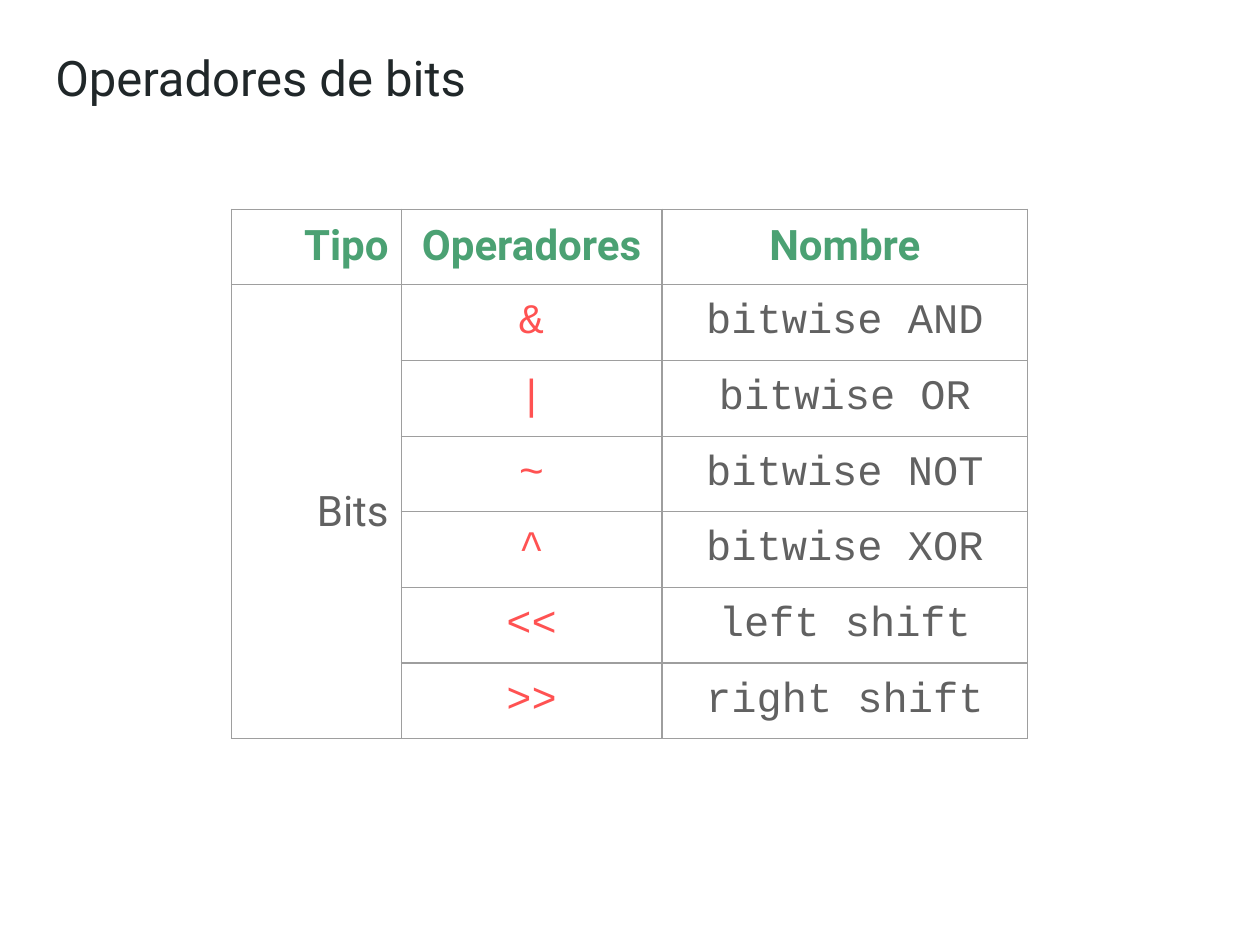
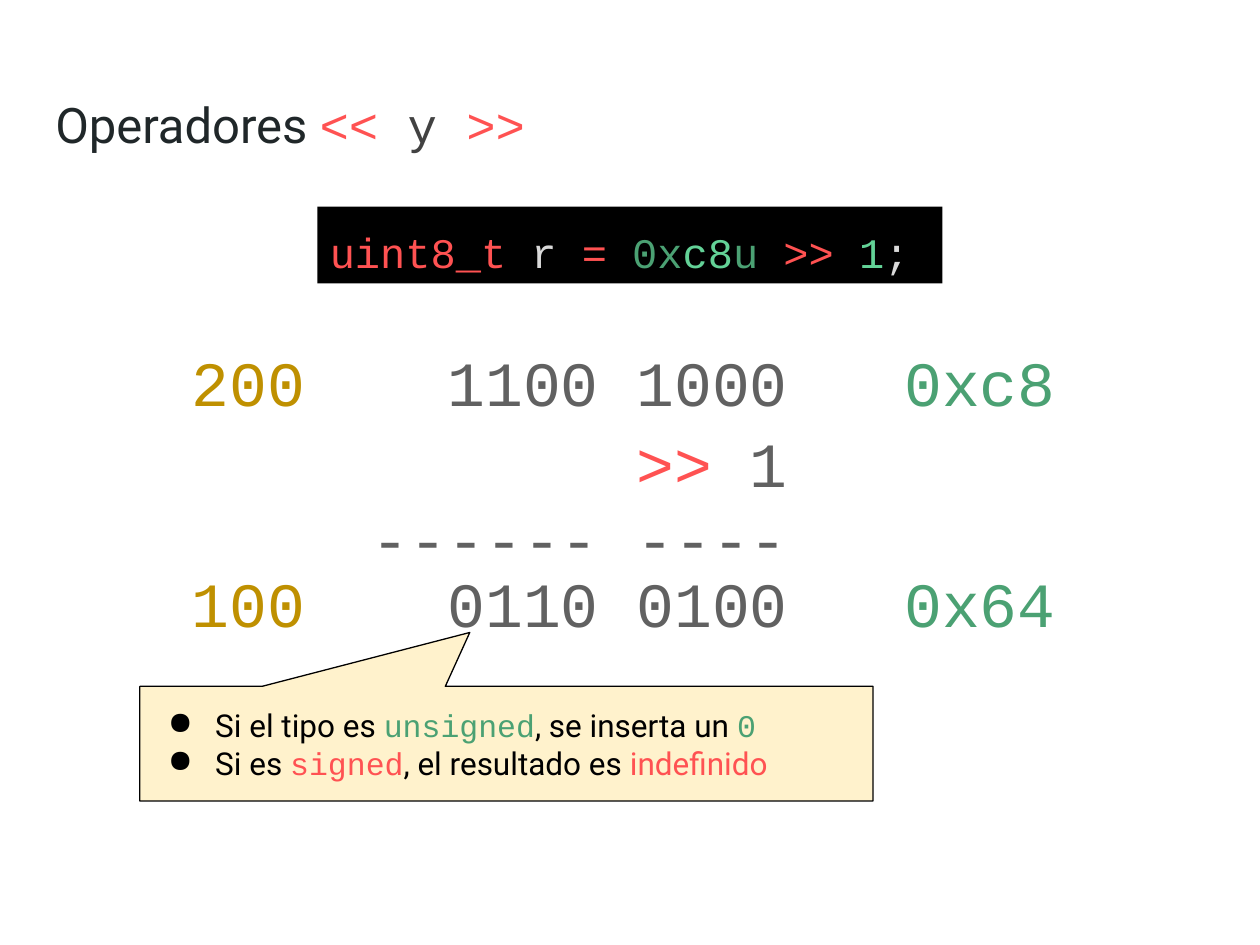
from dataclasses import dataclass

from lxml.etree import SubElement
from pptx import Presentation
from pptx.dml.color import RGBColor
from pptx.enum.shapes import MSO_SHAPE
from pptx.enum.text import MSO_ANCHOR, PP_ALIGN
from pptx.oxml.ns import qn
from pptx.util import Pt


@dataclass(frozen=True)
class Theme:
    sans: str = "Roboto"
    mono: str = "Courier New"
    ink: str = "202729"
    dark: str = "424242"
    grey: str = "616161"
    pale: str = "D9D9D9"
    red: str = "FF5252"
    green: str = "4BA173"
    mint: str = "63D297"
    gold: str = "BF9000"
    cream: str = "FFF2CC"
    black: str = "000000"
    rule: str = "9E9E9E"
    head: int = 28
    body: int = 24
    bits: int = 36
    note: int = 18
    pad: float = 7.2
    line: float = 0.75


T = Theme()
LEFT, MID, RIGHT = PP_ALIGN.LEFT, PP_ALIGN.CENTER, PP_ALIGN.RIGHT


# Text helpers: a part is (text, font, colour)
def write(para, parts, size, align=LEFT, bold=False, space=None):
    para.alignment = align
    if space:
        para.line_spacing = space
    for text, face, color in parts:
        run = para.add_run()
        run.text = text
        font = run.font
        font.name, font.size, font.bold = face, Pt(size), bold
        font.color.rgb = RGBColor.from_string(color)


def frame(shape, anchor=MSO_ANCHOR.TOP):
    text = shape.text_frame
    text.word_wrap = True
    text.vertical_anchor = anchor
    text.margin_left = text.margin_right = Pt(T.pad)
    text.margin_top = text.margin_bottom = Pt(T.pad)
    return text


def label(slide, box, lines, size, align=LEFT, spaces=(None,)):
    text = frame(slide.shapes.add_textbox(*map(Pt, box)))
    for i, (parts, space) in enumerate(zip(lines, spaces)):
        para = text.add_paragraph() if i else text.paragraphs[0]
        write(para, parts, size, align, space=space)


def panel(slide, kind, box, fill):
    shape = slide.shapes.add_shape(kind, *map(Pt, box))
    shape.shadow.inherit = False
    shape.fill.solid()
    shape.fill.fore_color.rgb = RGBColor.from_string(fill)
    shape.line.fill.background()
    return shape


def title(slide, top, parts):
    label(slide, (24.5, top, 671, 59.8), [parts], T.head)


def bullet(para):
    props = para._p.get_or_add_pPr()
    props.set("marL", str(Pt(36)))
    props.set("indent", str(Pt(-27)))
    tint = SubElement(props, qn("a:buClr"))
    SubElement(tint, qn("a:srgbClr"), val=T.black)
    SubElement(props, qn("a:buChar"), char="●")


# Table of operators
def border(cell):
    props = cell._tc.get_or_add_tcPr()
    for i, side in enumerate(("lnL", "lnR", "lnT", "lnB")):
        edge = props.makeelement(qn("a:" + side), {"w": str(Pt(T.line))})
        fill = SubElement(edge, qn("a:solidFill"))
        SubElement(fill, qn("a:srgbClr"), val=T.rule)
        props.insert(i, edge)


def grid(slide, box, widths, heights, rows):
    table = slide.shapes.add_table(len(rows), len(widths), *map(Pt, box)).table
    table.first_row = table.horz_banding = False
    for col, width in zip(table.columns, widths):
        col.width = Pt(width)
    for row, height in zip(table.rows, heights):
        row.height = Pt(height)
    faces = (T.sans, T.mono, T.mono)
    colors = (T.grey, T.red, T.grey)
    for r, row in enumerate(rows):
        for c, text in enumerate(row):
            cell = table.cell(r, c)
            cell.fill.background()
            border(cell)
            cell.margin_left = cell.margin_right = Pt(T.pad)
            cell.margin_top = cell.margin_bottom = Pt(T.pad)
            cell.vertical_anchor = MSO_ANCHOR.MIDDLE if r else MSO_ANCHOR.TOP
            if text:
                part = (text, faces[c], colors[c]) if r else (text, T.sans, T.green)
                write(cell.text_frame.paragraphs[0], [part], T.body,
                      MID if c else RIGHT, bold=r == 0)
    table.cell(1, 0).merge(table.cell(len(rows) - 1, 0))


# Line of code on black
def code(slide, box, parts):
    shape = panel(slide, MSO_SHAPE.RECTANGLE, box, T.black)
    mono = [(text, T.mono, color) for text, color in parts]
    write(frame(shape).paragraphs[0], mono, T.body, space=1.15)


# Decimal, binary and hexadecimal columns
def sums(slide, box):
    left, top, width, height = box
    row, step = 59.8, height - 59.8
    cols = ((0, 80.6, T.gold, RIGHT), (77.8, 278.6, T.grey, RIGHT),
            (width - 106.6, 106.6, T.green, LEFT))
    values = (("200", "1100 1000", "0xc8"), ("100", "0110 0100", "0x64"))
    for r, line in enumerate(values):
        for text, (x, wide, color, align) in zip(line, cols):
            lines, tall = [[(text, T.mono, color)]], row
            if r == 0 and color == T.grey:
                lines += [[(">>", T.mono, T.red), (" 1", T.mono, color)],
                          [("------ ----", T.mono, color)]]
                tall = 136.8
            label(slide, (left + x, top + r * step, wide, tall), lines,
                  T.bits, align, (1.15, 1.06, 1))


# Callout with rules
def callout(slide, box, lines):
    shape = panel(slide, MSO_SHAPE.RECTANGULAR_CALLOUT, box, T.cream)
    shape.adjustments[0], shape.adjustments[1] = -0.05, -0.97
    shape.line.color.rgb = RGBColor.from_string(T.black)
    shape.line.width = Pt(T.line)
    text = frame(shape, MSO_ANCHOR.MIDDLE)
    for i, parts in enumerate(lines):
        para = text.add_paragraph() if i else text.paragraphs[0]
        bullet(para)
        write(para, parts, T.note)


def table_slide(slide):
    title(slide, 20.2, [("Operadores de bits", T.sans, T.ink)])
    rows = [("Tipo", "Operadores", "Nombre"), ("Bits", "&", "bitwise AND"),
            ("", "|", "bitwise OR"), ("", "~", "bitwise NOT"),
            ("", "^", "bitwise XOR"), ("", "<<", "left shift"),
            ("", ">>", "right shift")]
    grid(slide, (132.3, 119.5, 455, 297), (97, 149, 209),
         [42] + [41.6] * 3 + [43.2] * 3, rows)


def shift_slide(slide):
    title(slide, 46.8, [("Operadores ", T.sans, T.ink), ("<<", T.mono, T.red),
                        (" y ", T.mono, T.dark), (">>", T.mono, T.red)])
    sums(slide, (100.8, 182.9, 515.5, 185.8))
    callout(slide, (79.9, 392.2, 419, 65.5), [
        [("Si el tipo es ", T.sans, T.black), ("unsigned", T.mono, T.green),
         (", se inserta un ", T.sans, T.black), ("0", T.mono, T.green)],
        [("Si es ", T.sans, T.black), ("signed", T.mono, T.red),
         (", el resultado es ", T.sans, T.black), ("indefinido", T.sans, T.red)]])
    code(slide, (181.4, 118.1, 357.1, 43.9), [
        ("uint8_t", T.red), (" r ", T.pale), ("= ", T.red), ("0x", T.green),
        ("c8", T.mint), ("u ", T.green), (">> ", T.red), ("1", T.mint),
        (";", T.pale)])


def main():
    deck = Presentation()
    deck.slide_width, deck.slide_height = Pt(720), Pt(540)
    for build in (table_slide, shift_slide):
        build(deck.slides.add_slide(deck.slide_layouts[6]))
    deck.save("out.pptx")


if __name__ == "__main__":
    main()
